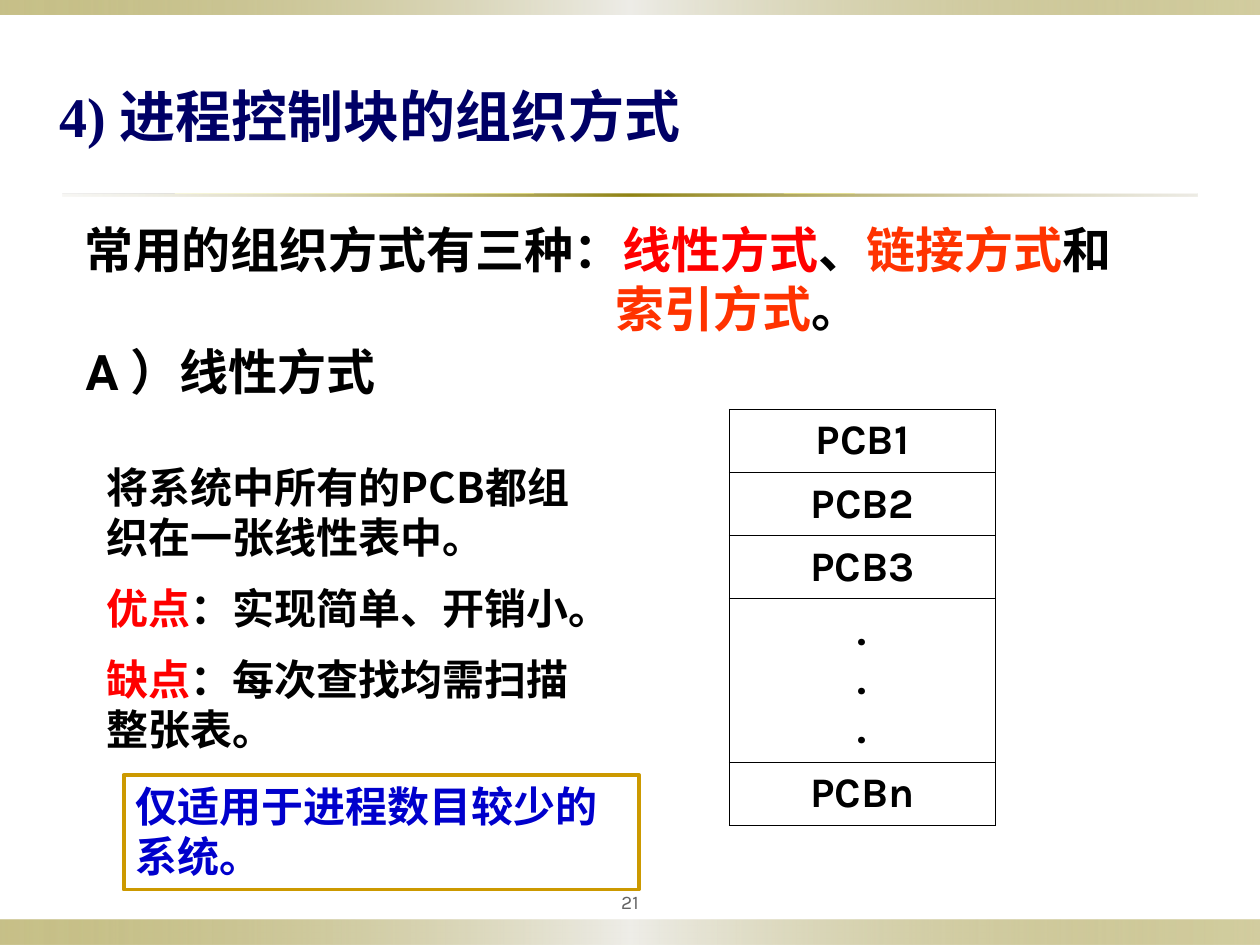
from typing import NamedTuple

from lxml import etree
from pptx import Presentation
from pptx.dml.color import RGBColor
from pptx.enum.shapes import MSO_SHAPE
from pptx.enum.text import MSO_ANCHOR, PP_ALIGN
from pptx.oxml import parse_xml
from pptx.oxml.ns import nsdecls, qn
from pptx.util import Pt

RECTANGLE = MSO_SHAPE.RECTANGLE
TOP, MIDDLE = MSO_ANCHOR.TOP, MSO_ANCHOR.MIDDLE
LEFT, CENTER = PP_ALIGN.LEFT, PP_ALIGN.CENTER

COLORS = {
    "olive": "918415", "pale": "EEEDE8", "sand": "DCD9CC", "gray": "636363",
    "navy": "000066", "black": "000000", "red": "FF0000", "orange": "FF3300",
    "blue": "0000CC", "gold": "CC9900", "white": "FFFFFF",
}
CJK, KARLA, ROBOTO, TIMES = "Noto Sans CJK SC", "Karla", "Roboto", "Times New Roman"
LINE_FACTOR = 1.19


class Box(NamedTuple):
    left: float
    top: float
    width: float
    height: float


class Stop(NamedTuple):
    position: int
    color: str
    opacity: int


class Piece(NamedTuple):
    text: str
    color: str = "black"
    font: str = CJK


class TextBlock(NamedTuple):
    box: Box
    size: float
    paragraphs: list[list[Piece]]
    hanging: float = 0


BAND_STOPS = [Stop(0, "olive", 50), Stop(50, "pale", 100), Stop(100, "olive", 40)]
RULE_STOPS = [Stop(0, "sand", 20), Stop(50, "olive", 100), Stop(100, "sand", 50)]
BANDS = [
    (Box(0, 525.6, 720, 14.4), BAND_STOPS),
    (Box(0, 0, 720, 8.6), BAND_STOPS),
    (Box(36, 110.9, 648, 1.4), RULE_STOPS),
]

TITLE = TextBlock(Box(26.6, 43.2, 444.2, 45.4), 32,
                  [[Piece("4) 进程控制块的组织方式", "navy", TIMES)]])
BODY = [
    TextBlock(Box(41, 122.4, 619, 74.9), 28, [[
        Piece("常用的组织方式有三种："), Piece("线性方式", "red"), Piece("、"),
        Piece("链接方式", "orange"), Piece("和"),
        Piece("索引方式", "orange"), Piece("。")]], hanging=303.8),
    TextBlock(Box(41.8, 192.2, 226, 41), 28,
              [[Piece("A ", font=ROBOTO), Piece("）线性方式")]]),
    TextBlock(Box(54, 260.6, 289.4, 181.4), 24, [
        [Piece("将系统中所有的PCB都组织在一张线性表中。")],
        [Piece("优点", "red"), Piece("：实现简单、开销小。")],
        [Piece("缺点", "red"), Piece("：每次查找均需扫描整张表。")]]),
]
REMARK = TextBlock(Box(70.6, 442.8, 294.5, 65.5), 24,
                   [[Piece("仅适用于进程数目较少的系统。", "blue")]])

PCB_TABLE = Box(416.9, 234, 151.9, 237.6)
PCB_ROWS = ["PCB1", "PCB2", "PCB3", ".\n.\n.", "PCBn"]
ROW_HEIGHT = 36


def points(box: Box) -> list[int]:
    return [Pt(value) for value in box]


def rgb(color: str) -> RGBColor:
    return RGBColor.from_string(COLORS[color])


def style_run(run, size: float, color: str, font: str, bold: bool = True) -> None:
    run.font.size = Pt(size)
    run.font.bold = bold
    run.font.name = font
    run.font.color.rgb = rgb(color)
    east_asian = etree.SubElement(run.font._element, qn("a:ea"))
    east_asian.set("typeface", CJK)


def write_block(frame, block: TextBlock) -> None:
    frame.word_wrap = True
    frame.vertical_anchor = TOP
    for index, pieces in enumerate(block.paragraphs):
        paragraph = frame.add_paragraph() if index else frame.paragraphs[0]
        paragraph.alignment = LEFT
        paragraph.line_spacing = Pt(block.size * LINE_FACTOR)
        paragraph.space_before = Pt(block.size / 2 if index else 0)
        if block.hanging:
            properties = paragraph._p.get_or_add_pPr()
            properties.set("marL", str(Pt(block.hanging)))
            properties.set("indent", str(-Pt(block.hanging)))
        for piece in pieces:
            run = paragraph.add_run()
            run.text = piece.text
            style_run(run, block.size, piece.color, piece.font)


def add_band(slide, box: Box, stops: list[Stop]) -> None:
    band = slide.shapes.add_shape(RECTANGLE, *points(box))
    band.shadow.inherit = False
    band.line.fill.background()
    band.fill.gradient()
    band.fill.gradient_angle = 0
    stop_list = band._element.spPr.find(".//" + qn("a:gsLst"))
    stop_list.clear()
    for stop in stops:
        stop_list.append(parse_xml(
            f'<a:gs {nsdecls("a")} pos="{stop.position * 1000}">'
            f'<a:srgbClr val="{COLORS[stop.color]}">'
            f'<a:alpha val="{stop.opacity * 1000}"/></a:srgbClr></a:gs>'))


def add_remark(slide, block: TextBlock) -> None:
    remark = slide.shapes.add_shape(RECTANGLE, *points(block.box))
    remark.shadow.inherit = False
    remark.fill.background()
    remark.line.color.rgb = rgb("gold")
    remark.line.width = Pt(2.25)
    write_block(remark.text_frame, block)


def add_page_number(slide, number: str) -> None:
    frame = slide.shapes.add_textbox(*points(Box(324, 504, 72, 22.3))).text_frame
    frame.word_wrap = True
    frame.vertical_anchor = MIDDLE
    frame.text = number
    frame.paragraphs[0].alignment = CENTER
    style_run(frame.paragraphs[0].runs[0], 11, "gray", KARLA, bold=False)


def border_cell(cell) -> None:
    properties = cell._tc.get_or_add_tcPr()
    for index, side in enumerate(("lnL", "lnR", "lnT", "lnB")):
        properties.insert(index, parse_xml(
            f'<a:{side} {nsdecls("a")} w="{Pt(1)}"><a:solidFill>'
            f'<a:srgbClr val="{COLORS["black"]}"/></a:solidFill></a:{side}>'))


def add_pcb_table(slide) -> None:
    table = slide.shapes.add_table(len(PCB_ROWS), 1, *points(PCB_TABLE)).table
    table.first_row = table.horz_banding = False
    dots_height = PCB_TABLE.height - ROW_HEIGHT * (len(PCB_ROWS) - 1)
    for index, label in enumerate(PCB_ROWS):
        table.rows[index].height = Pt(dots_height if "\n" in label else ROW_HEIGHT)
        cell = table.cell(index, 0)
        cell.fill.solid()
        cell.fill.fore_color.rgb = rgb("white")
        cell.vertical_anchor = MIDDLE
        cell.text_frame.text = label
        for paragraph in cell.text_frame.paragraphs:
            paragraph.alignment = CENTER
            style_run(paragraph.runs[0], 24, "black", KARLA)
        border_cell(cell)


def main() -> None:
    deck = Presentation()
    deck.slide_width, deck.slide_height = Pt(720), Pt(540)
    slide = deck.slides.add_slide(deck.slide_layouts[5])

    # Decorative bands and rule
    for box, stops in BANDS:
        add_band(slide, box, stops)
    add_page_number(slide, "21")

    # Title and body text
    title = slide.shapes.title
    title.left, title.top, title.width, title.height = points(TITLE.box)
    write_block(title.text_frame, TITLE)
    for block in BODY:
        write_block(slide.shapes.add_textbox(*points(block.box)).text_frame, block)

    # Linear PCB list and closing remark
    add_pcb_table(slide)
    add_remark(slide, REMARK)
    deck.save("out.pptx")


if __name__ == "__main__":
    main()
